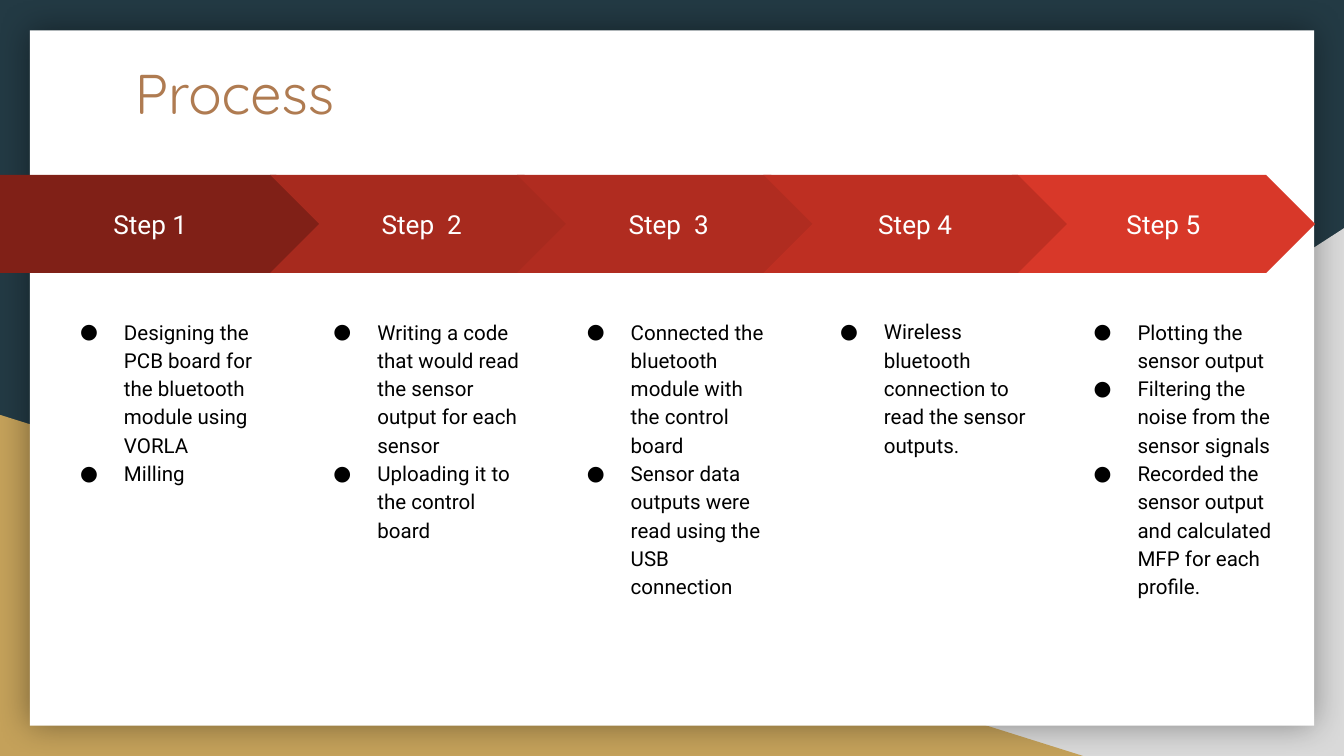
"""Build the five-step process slide."""
from dataclasses import dataclass
from itertools import zip_longest

from lxml import etree
from pptx import Presentation
from pptx import util as u
from pptx.dml.color import RGBColor
from pptx.enum import shapes, text
from pptx.oxml.ns import qn

COLORS = {
    "night": "233A44", "grey": "D9D9D9", "gold": "C4A15A",
    "white": "FFFFFF", "black": "000000", "copper": "AF7B51",
    "step 1": "802017", "step 2": "A72A1E", "step 3": "B02C20",
    "step 4": "BE2F22", "step 5": "D83829",
}
FRAME = {
    "word_wrap": True, "auto_size": text.MSO_AUTO_SIZE.NONE,
    "margin_left": u.Pt(7.2), "margin_right": u.Pt(7.2),
    "margin_top": u.Pt(7.2), "margin_bottom": u.Pt(7.2),
}
TITLE_FONT = {"name": "Quicksand", "size": u.Pt(30), "bold": False}
STEP_FONT = {"name": "Roboto", "size": u.Pt(14), "bold": False}
LIST_FONT = {"name": "Roboto", "size": u.Pt(11), "bold": False}
LIST_PARA = {"alignment": text.PP_ALIGN.LEFT, "line_spacing": 1.15, "space_before": u.Pt(0)}
ARROW_TOP, ARROW_HEIGHT = 93.75, 52.5
LIST_LEFT, LIST_PITCH = 23.2, 135.75


@dataclass
class Box:
    """A rectangle in points."""
    left: float
    top: float
    width: float
    height: float

    def lengths(self) -> list:
        """Return the four measures as lengths."""
        return [u.Pt(value) for value in (self.left, self.top, self.width, self.height)]


@dataclass
class Step:
    """One arrow and the list below it."""
    number: int
    label: str
    left: float
    items: list[str]


STEPS = [
    Step(1, "Step 1", 0, [
        "Designing the PCB board for the bluetooth module using VORLA", "Milling"]),
    Step(2, "Step  2", 144.75, [
        "Writing a code that would read the sensor output for each sensor",
        "Uploading it to the control board"]),
    Step(3, "Step  3", 277, [
        "Connected the bluetooth module with the control board",
        "Sensor data outputs were read using the USB connection"]),
    Step(5, "Step 5", 542, [
        "Plotting the sensor output", "Filtering the noise from the sensor signals",
        "Recorded the sensor output and calculated MFP for each profile."]),
    Step(4, "Step 4", 409, [
        "Wireless bluetooth connection to read the sensor outputs."]),
]


def apply(target, values: dict) -> None:
    """Set every attribute named in values on the target."""
    for name, value in values.items():
        setattr(target, name, value)


def place(shape, box: Box) -> None:
    """Move and size a shape."""
    apply(shape, dict(zip(("left", "top", "width", "height"), box.lengths())))


def write(para, words: str, font: dict, color: str) -> None:
    """Add one formatted span to a paragraph."""
    span = para.add_run()
    span.text = words
    apply(span.font, font)
    span.font.color.rgb = RGBColor.from_string(COLORS[color])


def draw_shape(page, kind, box: Box, color: str):
    """Draw a filled preset shape without line or shadow."""
    shape = page.shapes.add_shape(kind, *box.lengths())
    shape.shadow.inherit = False
    shape.fill.solid()
    shape.fill.fore_color.rgb = RGBColor.from_string(COLORS[color])
    shape.line.fill.background()
    return shape


def add_glow(shape) -> None:
    """Give a shape a soft shadow on all sides."""
    effects = shape._element.spPr.find(qn("a:effectLst"))
    shadow = etree.SubElement(
        effects, qn("a:outerShdw"), blurRad=str(u.Pt(18)), dist="0", dir="0",
        algn="ctr", rotWithShape="0")
    tint = etree.SubElement(shadow, qn("a:srgbClr"), val=COLORS["black"])
    etree.SubElement(tint, qn("a:alpha"), val="40000")


def draw_backdrop(page) -> None:
    """Draw the two corner triangles and the white card behind everything."""
    kinds = shapes.MSO_SHAPE
    right = draw_shape(page, kinds.RIGHT_TRIANGLE, Box(282.25, 122.25, 437.75, 282.75), "grey")
    right._element.spPr.find(qn("a:xfrm")).set("flipH", "1")
    left = draw_shape(page, kinds.RIGHT_TRIANGLE, Box(0, 222.25, 580.25, 182.75), "gold")
    card = draw_shape(page, kinds.RECTANGLE, Box(16, 16.25, 688, 372.5), "white")
    add_glow(card)
    for position, shape in enumerate((right, left, card), start=2):
        page.shapes._spTree.insert(position, shape._element)


def draw_title(page, words: str) -> None:
    """Fill and place the title."""
    title = page.shapes.title
    place(title, Box(65, 24, 591, 80.5))
    apply(title.text_frame, FRAME | {"vertical_anchor": text.MSO_ANCHOR.TOP})
    para = title.text_frame.paragraphs[0]
    para.alignment = text.PP_ALIGN.LEFT
    write(para, words, TITLE_FONT, "copper")


def draw_arrow(page, step: Step) -> None:
    """Draw the labelled arrow of a step."""
    first = step.number == 1
    kind = shapes.MSO_SHAPE.PENTAGON if first else shapes.MSO_SHAPE.CHEVRON
    box = Box(step.left, ARROW_TOP, 171 if first else 162.5, ARROW_HEIGHT)
    box.width = 174.25 if first else 162.5
    arrow = draw_shape(page, kind, box, f"step {step.number}")
    apply(arrow.text_frame, FRAME | {"vertical_anchor": text.MSO_ANCHOR.MIDDLE})
    para = arrow.text_frame.paragraphs[0]
    para.alignment = text.PP_ALIGN.CENTER
    write(para, step.label, STEP_FONT, "white")


def add_bullet(para) -> None:
    """Give a paragraph a hanging round bullet."""
    props = para._p.get_or_add_pPr()
    props.set("marL", str(u.Pt(36)))
    props.set("indent", str(u.Pt(-23.5)))
    tint = etree.SubElement(props, qn("a:buClr"))
    etree.SubElement(tint, qn("a:srgbClr"), val=COLORS["black"])
    etree.SubElement(props, qn("a:buFont"), typeface="Roboto")
    etree.SubElement(props, qn("a:buChar"), char="●")


def draw_list(page, step: Step, holder) -> None:
    """Write the list of a step in its placeholder, or in a text box if none is left."""
    box = Box(LIST_LEFT + LIST_PITCH * (step.number - 1), 162, 128.25, 185)
    holder = holder or page.shapes.add_textbox(*box.lengths())
    place(holder, box)
    frame = holder.text_frame
    apply(frame, FRAME | {"vertical_anchor": text.MSO_ANCHOR.TOP})
    for index, item in enumerate(step.items):
        para = frame.add_paragraph() if index else frame.paragraphs[0]
        add_bullet(para)
        apply(para, LIST_PARA)
        write(para, item, LIST_FONT, "black")


def main() -> None:
    """Build and save the deck."""
    deck = Presentation()
    apply(deck, {"slide_width": u.Pt(720), "slide_height": u.Pt(405)})
    page = deck.slides.add_slide(deck.slide_layouts.get_by_name("Comparison"))
    page.background.fill.solid()
    page.background.fill.fore_color.rgb = RGBColor.from_string(COLORS["night"])
    draw_backdrop(page)
    draw_title(page, "Process")
    holders = list(page.placeholders)[1:]
    for step, holder in zip_longest(STEPS, holders):
        draw_arrow(page, step)
        draw_list(page, step, holder)
    deck.save("out.pptx")


if __name__ == "__main__":
    main()
